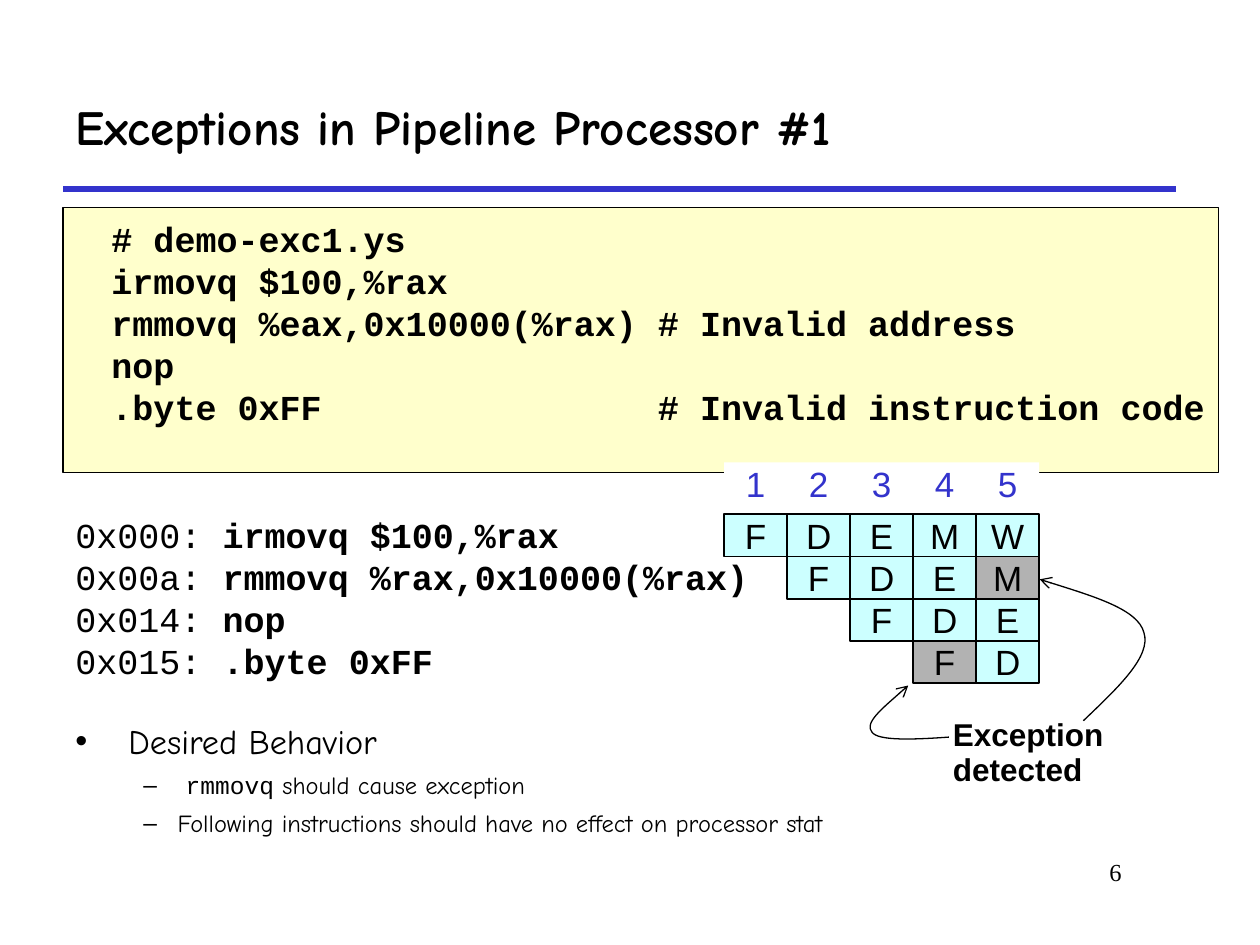
from lxml.etree import SubElement
from pptx import Presentation
from pptx.dml.color import RGBColor
from pptx.enum.shapes import MSO_CONNECTOR, MSO_SHAPE
from pptx.enum.text import MSO_ANCHOR, MSO_AUTO_SIZE, PP_ALIGN
from pptx.oxml.ns import qn
from pptx.util import Cm, Pt

BLACK = RGBColor(0x00, 0x00, 0x00)
WHITE = RGBColor(0xFF, 0xFF, 0xFF)
BLUE = RGBColor(0x33, 0x33, 0xCC)
CREAM = RGBColor(0xFF, 0xFF, 0xCC)
CYAN = RGBColor(0xCC, 0xFF, 0xFF)
GREY = RGBColor(0xB2, 0xB2, 0xB2)

CODE, SANS, HAND, SERIF = "Courier New", "Arial", "Comic Neue", "Times New Roman"

LEFT = 1.27
GRID_LEFT, GRID_TOP, CELL_W, CELL_H = 14.6, 10.37, 1.27, 0.85
STAGES = "FDEMW"
CYCLES = 5
EXCEPTIONS = {(1, 4), (3, 3)}  # (instruction, cycle), counted from zero

SOURCE_CODE = [
    "  # demo-exc1.ys",
    "  irmovq $100,%rax",
    "  rmmovq %eax,0x10000(%rax) # Invalid address",
    "  nop",
    "  .byte 0xFF                # Invalid instruction code",
]
INSTRUCTIONS = [
    ("0x000: ", "irmovq $100,%rax", 7.21),
    ("0x00a: ", "rmmovq %rax,0x10000(%rax)", 13.54),
    ("0x014: ", "nop", 7.21),
    ("0x015: ", ".byte 0xFF", 7.21),
]


def set_bullet(paragraph, char, margin, hanging):
    props = paragraph._p.get_or_add_pPr()
    props.set("marL", str(Cm(margin)))
    props.set("indent", str(-Cm(hanging)))
    SubElement(props, qn("a:buFont"), typeface=SANS)
    SubElement(props, qn("a:buChar"), char=char)


def write(paragraph, text, font=SANS, size=20, color=BLACK, bold=False,
          align=PP_ALIGN.LEFT, spacing=None, before=0):
    """Add a run; the paragraph format follows the latest call."""
    paragraph.alignment = align
    paragraph.space_before = Pt(before)
    if spacing:
        paragraph.line_spacing = spacing
    run = paragraph.add_run()
    run.text = text
    run.font.name, run.font.size, run.font.bold = font, Pt(size), bold
    run.font.color.rgb = color


def add_paragraph(frame, first):
    return frame.paragraphs[0] if first else frame.add_paragraph()


def add_box(slide, x, y, w, h, fill, line_width=None, wrap=False):
    box = slide.shapes.add_shape(MSO_SHAPE.RECTANGLE, Cm(x), Cm(y), Cm(w), Cm(h))
    box.shadow.inherit = False
    box.fill.solid()
    box.fill.fore_color.rgb = fill
    if line_width:
        box.line.color.rgb = BLACK
        box.line.width = Pt(line_width)
    else:
        box.line.fill.background()
    box.text_frame.word_wrap = wrap
    box.text_frame.vertical_anchor = MSO_ANCHOR.MIDDLE
    return box.text_frame


def add_text(slide, x, y, w, h, wrap=True):
    frame = slide.shapes.add_textbox(Cm(x), Cm(y), Cm(w), Cm(h)).text_frame
    frame.word_wrap = wrap
    return frame


def add_curved_arrow(slide, start, *points):
    """Draw Bezier curves; every three points are two handles and an end."""
    builder = slide.shapes.build_freeform(Cm(start[0]), Cm(start[1]))
    builder.add_line_segments([(Cm(x), Cm(y)) for x, y in points], close=False)
    arrow = builder.convert_to_shape()
    arrow.shadow.inherit = False
    arrow.fill.background()
    arrow.line.color.rgb = BLACK
    arrow.line.width = Pt(0.75)
    SubElement(arrow.line._get_or_add_ln(), qn("a:tailEnd"), type="arrow")
    outline = arrow._element.find(".//" + qn("a:path"))
    segments = outline.findall(qn("a:lnTo"))
    for i in range(0, len(segments), 3):
        curve = SubElement(outline, qn("a:cubicBezTo"))
        for segment in segments[i:i + 3]:
            curve.append(segment[0])
            outline.remove(segment)


def add_heading(slide):
    title = slide.shapes.title
    title.left, title.top, title.width, title.height = Cm(LEFT), Cm(1.27), Cm(22.43), Cm(2.54)
    title.text_frame.auto_size = MSO_AUTO_SIZE.NONE
    title.text_frame.vertical_anchor = MSO_ANCHOR.MIDDLE
    write(title.text_frame.paragraphs[0], "Exceptions in Pipeline Processor #1",
          font=HAND, size=28, bold=True)
    rule = slide.shapes.add_connector(MSO_CONNECTOR.STRAIGHT, Cm(LEFT), Cm(3.81), Cm(23.7), Cm(3.81))
    rule.line.color.rgb = BLUE
    rule.line.width = Pt(3)
    SubElement(rule._element.spPr, qn("a:effectLst"))


def add_listing(slide):
    listing = add_box(slide, LEFT, 4.19, 23.29, 5.33, CREAM, 0.75, wrap=True)
    listing.vertical_anchor = MSO_ANCHOR.TOP
    listing.margin_left = listing.margin_right = Cm(0.13)
    listing.margin_top = Cm(0.2)
    for i, code in enumerate(SOURCE_CODE):
        write(add_paragraph(listing, i == 0), code, font=CODE, bold=True, spacing=Pt(24))


def add_pipeline(slide):
    # Instructions with their addresses
    for row, (address, code, width) in enumerate(INSTRUCTIONS):
        frame = add_box(slide, LEFT, 10.34 + row * CELL_H, width, CELL_H, WHITE)
        write(frame.paragraphs[0], address, font=CODE)
        write(frame.paragraphs[0], code, font=CODE, bold=True)
    # Cycle numbers
    for cycle in range(CYCLES):
        frame = add_box(slide, GRID_LEFT + cycle * CELL_W, 9.32, CELL_W, CELL_H, WHITE)
        write(frame.paragraphs[0], str(cycle + 1), color=BLUE, align=PP_ALIGN.CENTER)
    # Each instruction enters one cycle after the one before
    for row in range(len(INSTRUCTIONS)):
        for cycle in range(row, CYCLES):
            fill = GREY if (row, cycle) in EXCEPTIONS else CYAN
            frame = add_box(slide, GRID_LEFT + cycle * CELL_W, GRID_TOP + row * CELL_H,
                            CELL_W, CELL_H, fill, 1)
            write(frame.paragraphs[0], STAGES[cycle - row], align=PP_ALIGN.CENTER)


def add_exception_note(slide):
    note = add_text(slide, 19.08, 14.38, 6.07, 0.94, wrap=False)
    note.margin_left = note.margin_right = note.margin_top = note.margin_bottom = Cm(0.13)
    write(note.paragraphs[0], "Exception detected", size=18, bold=True, spacing=0.9)
    add_curved_arrow(slide, (21.84, 14.53), (22.53, 13.87), (23.22, 13.23), (23.06, 12.75),
                     (22.94, 12.29), (21.95, 11.99), (20.96, 11.68))
    add_curved_arrow(slide, (19.13, 14.86), (18.42, 14.91), (17.7, 14.94), (17.58, 14.76),
                     (17.42, 14.58), (17.88, 14.2), (18.31, 13.82))


def add_behavior(slide):
    points = [
        ("•", 1.07, 1.07, 19.6, 0, [("Desired Behavior", HAND)]),
        ("–", 2.06, 0.69, 14, 5, [(" ", HAND), ("rmmovq", CODE), (" should cause exception", HAND)]),
        ("–", 2.06, 0.69, 14, 5,
         [("Following instructions should have no effect on processor stat", HAND)]),
    ]
    frame = add_text(slide, LEFT, 14.4, 23.06, 2.77)
    for i, (bullet, margin, hanging, size, before, runs) in enumerate(points):
        paragraph = add_paragraph(frame, i == 0)
        set_bullet(paragraph, bullet, margin, hanging)
        for text, font in runs:
            write(paragraph, text, font=font, size=size, before=before)


def main():
    prs = Presentation()
    prs.slide_width, prs.slide_height = Cm(25.4), Cm(19.05)
    slide = prs.slides.add_slide(prs.slide_layouts[5])
    add_heading(slide)
    add_behavior(slide)
    add_listing(slide)
    add_pipeline(slide)
    add_exception_note(slide)
    # Slide number
    number = add_text(slide, 19.25, 17.15, 3.61, 1.27)
    write(number.paragraphs[0], "6", font=SERIF, size=14, align=PP_ALIGN.RIGHT)
    prs.save("out.pptx")


if __name__ == "__main__":
    main()
